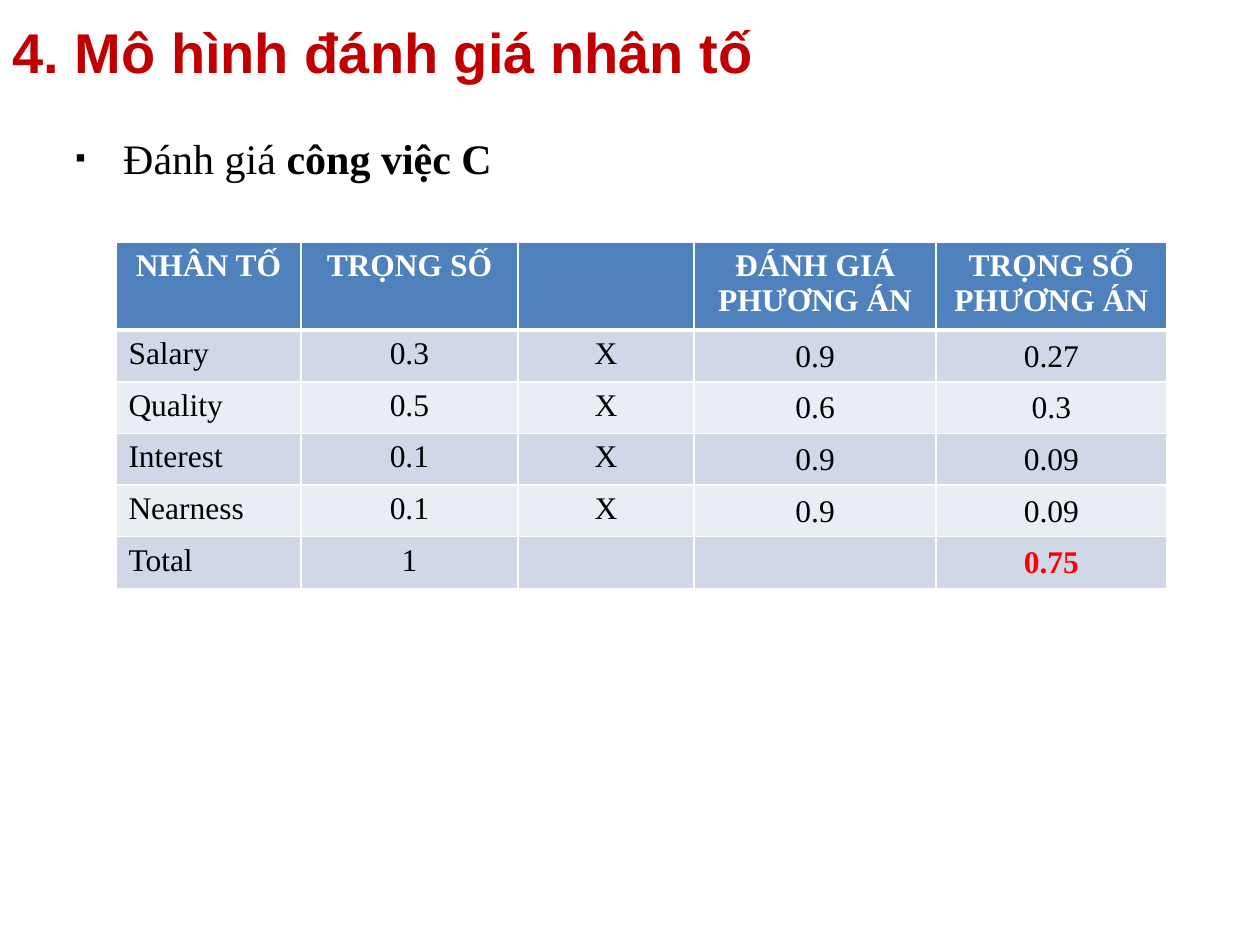
from dataclasses import dataclass

import pptx
import pptx.dml.color
import pptx.enum.text
import pptx.oxml
import pptx.oxml.ns
import pptx.util
from lxml import etree

RGB = pptx.dml.color.RGBColor
ALIGN = pptx.enum.text.PP_ALIGN
ANCHOR = pptx.enum.text.MSO_ANCHOR
FIT = pptx.enum.text.MSO_AUTO_SIZE
Inches = pptx.util.Inches
Pt = pptx.util.Pt
qn = pptx.oxml.ns.qn

WHITE = RGB(0xFF, 0xFF, 0xFF)
BLACK = RGB(0, 0, 0)
RED = RGB(0xFF, 0, 0)
CRIMSON = RGB(0xC0, 0, 0)
BLUE = RGB(0x4F, 0x81, 0xBD)
BANDS = (RGB(0xD0, 0xD8, 0xE8), RGB(0xE9, 0xED, 0xF4))
SERIF = "Times New Roman"
WIDE, HIGH = 10, 7.5

COLS = (1.47, 1.72, 1.4, 1.92, 1.83)
HEAD_H, ROW_H = 0.65, 0.41
HEADS = ("NHÂN TỐ", "TRỌNG SỐ", "", "ĐÁNH GIÁ PHƯƠNG ÁN", "TRỌNG SỐ PHƯƠNG ÁN")


@dataclass
class Factor:
    name: str
    weight: str
    times: str
    rating: str
    score: str

    def cells(self) -> tuple:
        return self.name, self.weight, self.times, self.rating, self.score


FACTORS = (
    Factor("Salary", "0.3", "X", "0.9", "0.27"),
    Factor("Quality", "0.5", "X", "0.6", "0.3"),
    Factor("Interest", "0.1", "X", "0.9", "0.09"),
    Factor("Nearness", "0.1", "X", "0.9", "0.09"),
    Factor("Total", "1", "", "", "0.75"),
)


def style(run, size: float, color: RGB, bold: bool = False, face: str = SERIF) -> None:
    run.font.name = face
    run.font.size = Pt(size)
    run.font.bold = bold
    run.font.color.rgb = color


def edge(cell, base: float) -> None:
    """Draw white cell borders, the bottom one as thick as base points."""
    props = cell._tc.get_or_add_tcPr()
    widths = {"a:lnL": 1, "a:lnR": 1, "a:lnT": 1, "a:lnB": base}
    for spot, (tag, width) in enumerate(widths.items()):
        line = etree.Element(qn(tag), w=str(Pt(width)))
        fill = etree.SubElement(line, qn("a:solidFill"))
        etree.SubElement(fill, qn("a:srgbClr"), val=str(WHITE))
        props.insert(spot, line)


def fill_cell(cell, text: str, back: RGB, color: RGB, bold: bool,
              align: ALIGN, base: float = 1) -> None:
    cell.fill.solid()
    cell.fill.fore_color.rgb = back
    edge(cell, base)
    cell.text_frame.text = text
    para = cell.text_frame.paragraphs[0]
    para.alignment = align
    para.font.size = Pt(18)
    for run in para.runs:
        style(run, 18, color, bold)


def add_title(slide) -> None:
    title = slide.shapes.title
    title.left, title.top = 0, 0
    title.width, title.height = Inches(0.9 * WIDE), Inches(0.096 * HIGH)
    frame = title.text_frame
    frame.text = "4. Mô hình đánh giá nhân tố"
    frame.auto_size = FIT.NONE
    frame.vertical_anchor = ANCHOR.BOTTOM
    frame.paragraphs[0].alignment = ALIGN.LEFT
    style(frame.paragraphs[0].runs[0], 32, CRIMSON, True, "Arial")


def add_point(slide) -> None:
    box = slide.shapes.add_textbox(Inches(0.05 * WIDE), Inches(1),
                                   Inches(0.9 * WIDE), Inches(0.66 * HIGH))
    box.text_frame.word_wrap = True
    para = box.text_frame.paragraphs[0]
    para.space_before = Pt(4.8)
    for text, bold in (("Đánh giá ", False), ("công việc C", True)):
        run = para.add_run()
        run.text = text
        style(run, 24, BLACK, bold)
    props = para._p.get_or_add_pPr()
    indent = Inches(0.38)
    props.set("marL", str(indent))
    props.set("indent", str(-indent))
    etree.SubElement(props, qn("a:buSzPct"), val="70000")
    etree.SubElement(props, qn("a:buFont"), typeface="Arial")
    etree.SubElement(props, qn("a:buChar"), char="▪")


def add_grid(slide) -> None:
    high = HEAD_H + ROW_H * len(FACTORS)
    table = slide.shapes.add_table(
        len(FACTORS) + 1, len(COLS), Inches(0.92), Inches(1.92),
        Inches(sum(COLS)), Inches(high)).table
    for col, width in zip(table.columns, COLS):
        col.width = Inches(width)
    for row in table.rows:
        row.height = Inches(ROW_H)
    table.rows[0].height = Inches(HEAD_H)

    for col, text in enumerate(HEADS):
        fill_cell(table.cell(0, col), text, BLUE, WHITE, True, ALIGN.CENTER, 3)
    for row, factor in enumerate(FACTORS, 1):
        for col, text in enumerate(factor.cells()):
            cell = table.cell(row, col)
            total = row == len(FACTORS) and col == len(COLS) - 1
            fill_cell(cell, text, BANDS[(row - 1) % 2], RED if total else BLACK,
                      total, ALIGN.CENTER if col else ALIGN.LEFT)
            if col > 2 and text:
                cell.vertical_anchor = ANCHOR.MIDDLE
                cell.margin_left = cell.margin_right = Inches(0.01)
                cell.margin_top, cell.margin_bottom = Inches(0.01), 0


def main() -> None:
    deck = pptx.Presentation()
    deck.slide_width, deck.slide_height = Inches(WIDE), Inches(HIGH)
    slide = deck.slides.add_slide(deck.slide_layouts[5])
    add_point(slide)
    add_grid(slide)
    add_title(slide)
    deck.save("out.pptx")


if __name__ == "__main__":
    main()
